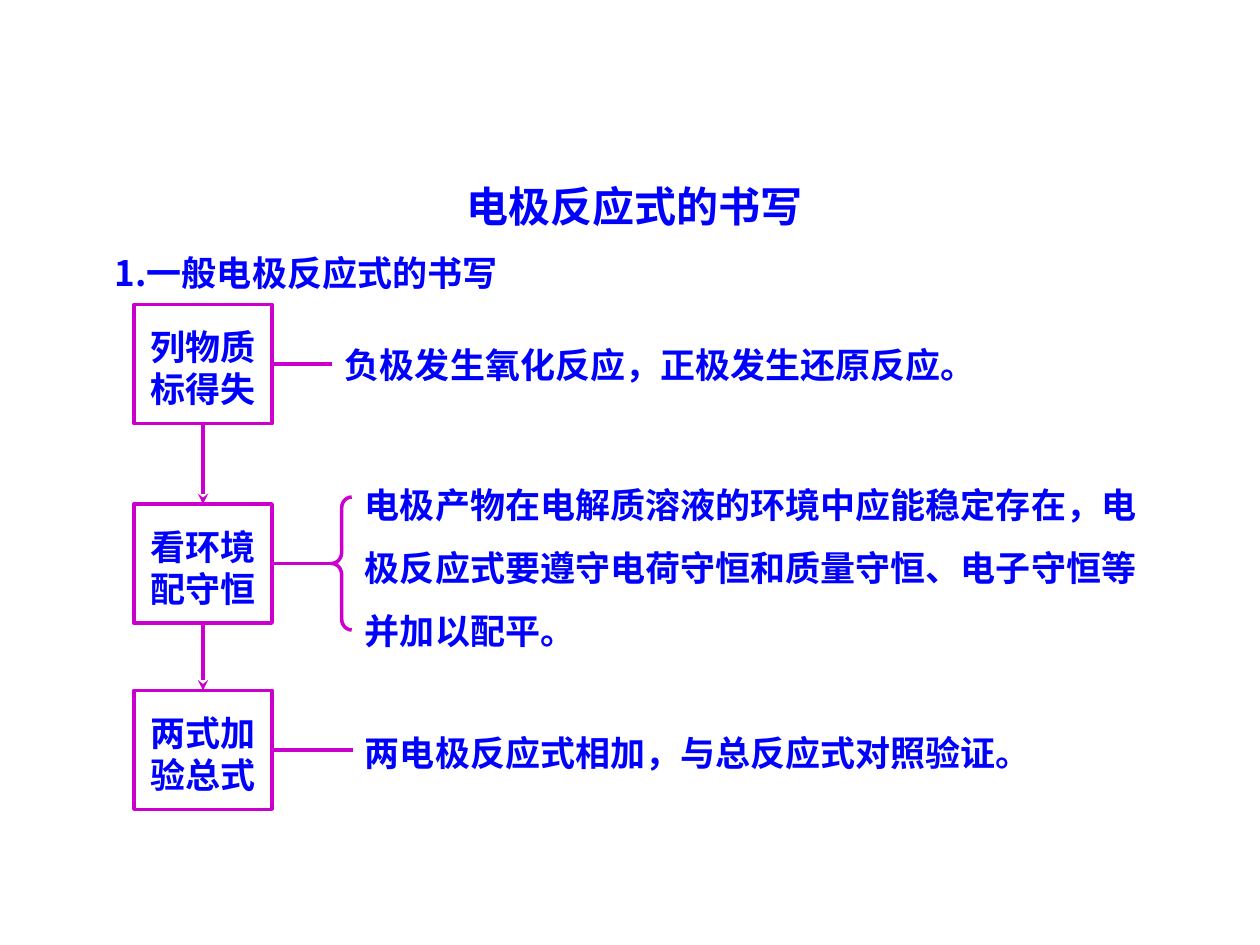
from pptx import Presentation
from pptx.dml.color import RGBColor
from pptx.enum.shapes import MSO_CONNECTOR, MSO_SHAPE
from pptx.enum.text import MSO_ANCHOR, MSO_AUTO_SIZE, PP_ALIGN
from pptx.oxml.ns import qn
from pptx.util import Pt
from lxml.etree import SubElement

BLUE = RGBColor(0x00, 0x00, 0xFF)
PURPLE = RGBColor(0xCC, 0x00, 0xCC)
NOTO = "Noto Sans CJK SC"

BOX_X, BOX_W, BOX_H = 76.5, 79, 68
# Box top, box text, line end, note top, note width, note line spacing, note
STEPS = [
    (174, "列物质\n标得失", 189.5, 181, 426, 36,
     "负极发生氧化反应，正极发生还原反应。"),
    (288, "看环境\n配守恒", 189.5, 260.5, 471, 36,
     "电极产物在电解质溶液的环境中应能稳定存在，电极反应式要遵守"
     "电荷守恒和质量守恒、电子守恒等并加以配平。"),
    (394.5, "两式加\n验总式", 201.5, 414.5, 426, 24,
     "两电极反应式相加，与总反应式对照验证。"),
]


def write(frame, text, size, lead, align=PP_ALIGN.LEFT, font=NOTO):
    """Fill a frame with bold blue text on a fixed line spacing."""
    frame.text = text
    for para in frame.paragraphs:
        para.alignment = align
        para.line_spacing = Pt(lead)
        para.space_before = Pt(0)
        for run in para.runs:
            run.font.name = font
            run.font.size = Pt(size)
            run.font.bold = True
            run.font.color.rgb = BLUE
            east = SubElement(run.font._element, qn("a:ea"))
            east.set("typeface", NOTO)


def add_title(slide, text):
    title = slide.shapes.title
    title.left, title.top = Pt(62.5), Pt(92.5)
    title.width, title.height = Pt(600), Pt(44)
    frame = title.text_frame
    frame.auto_size = MSO_AUTO_SIZE.NONE
    frame.vertical_anchor = MSO_ANCHOR.TOP
    write(frame, text, 24, 36, PP_ALIGN.CENTER)


def add_note(slide, x, y, width, text, lead, height):
    box = slide.shapes.add_textbox(Pt(x), Pt(y), Pt(width), Pt(height))
    box.text_frame.word_wrap = True
    write(box.text_frame, text, 20, lead)


def add_outline(slide, kind, x, y, width, height):
    shape = slide.shapes.add_shape(kind, Pt(x), Pt(y), Pt(width), Pt(height))
    shape.shadow.inherit = False
    shape.fill.background()
    shape.line.color.rgb = PURPLE
    shape.line.width = Pt(2)
    return shape


def add_box(slide, y, text):
    box = add_outline(slide, MSO_SHAPE.RECTANGLE, BOX_X, y, BOX_W, BOX_H)
    frame = box.text_frame
    frame.word_wrap = False
    frame.vertical_anchor = MSO_ANCHOR.MIDDLE
    frame.margin_top = Pt(8)
    write(frame, text, 20, 24, PP_ALIGN.CENTER, "Arial")
    return box


def add_line(slide, box, side, x, y):
    """Draw a line from one side of a box to a point."""
    line = slide.shapes.add_connector(
        MSO_CONNECTOR.STRAIGHT, 0, 0, Pt(x), Pt(y))
    line.begin_connect(box, side)
    line.line.color.rgb = PURPLE
    line.line.width = Pt(2)
    SubElement(line._element.spPr, qn("a:effectLst"))
    return line


def add_arrow(slide, upper, lower):
    line = add_line(slide, upper, 2, BOX_X, lower.top.pt)
    line.end_connect(lower, 0)
    tail = SubElement(line.line._get_or_add_ln(), qn("a:tailEnd"))
    tail.set("type", "stealth")


def main():
    deck = Presentation()
    deck.slide_width, deck.slide_height = Pt(720), Pt(540)
    slide = deck.slides.add_slide(deck.slide_layouts[5])
    add_title(slide, "电极反应式的书写")
    add_note(slide, 58.5, 140, 400, "1.一般电极反应式的书写", 24, 32)

    boxes, lines = [], []
    for y, label, end, top, width, lead, note in STEPS:
        box = add_box(slide, y, label)
        boxes.append(box)
        lines.append(add_line(slide, box, 3, end, y + BOX_H / 2))
        left = 190 if y == STEPS[0][0] else 201.5
        rows = 3 if y == STEPS[1][0] else 1
        add_note(slide, left, top, width, note, lead, rows * lead + 7.2)

    brace = add_outline(slide, MSO_SHAPE.LEFT_BRACE, 189.5, 284, 11.5, 76)
    brace.adjustments[0] = 0.55
    lines[1].end_connect(brace, 1)
    for upper, lower in zip(boxes, boxes[1:]):
        add_arrow(slide, upper, lower)
    deck.save("out.pptx")


if __name__ == "__main__":
    main()
